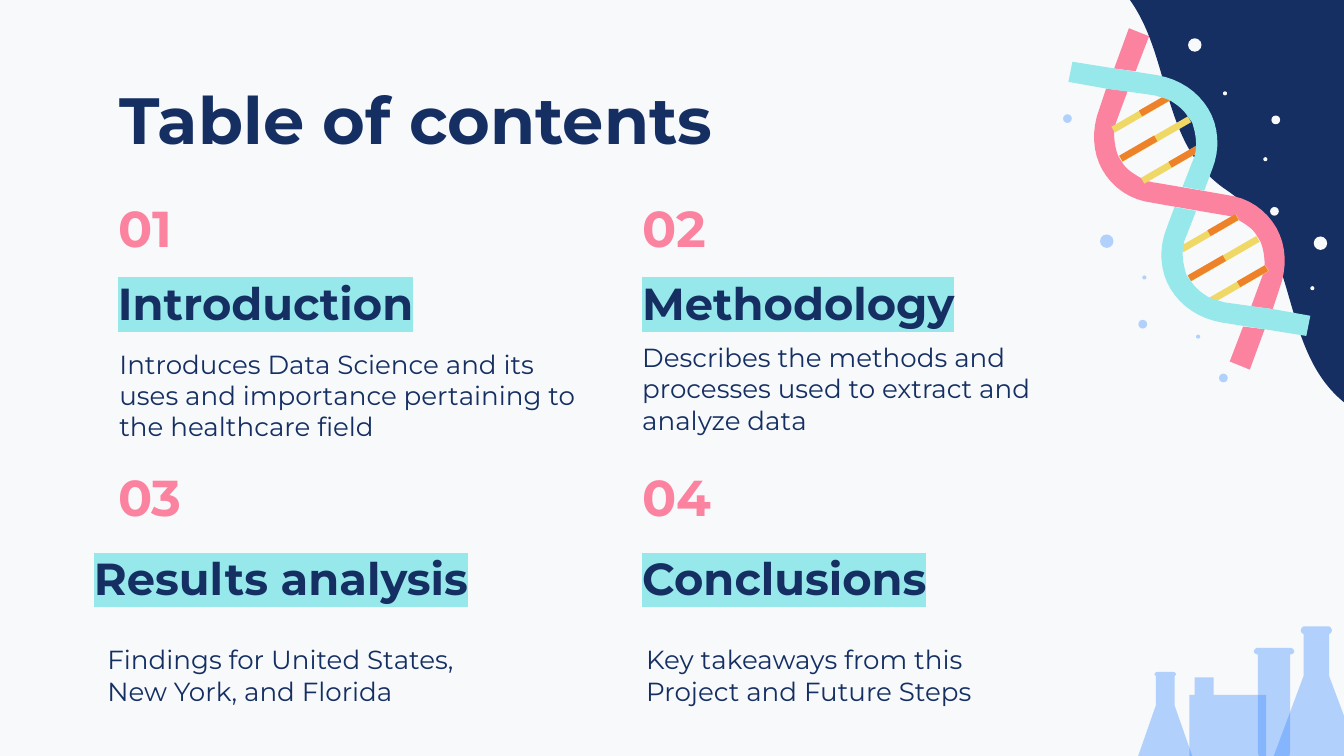
"""Build the table of contents slide with its DNA and glassware decoration."""
from dataclasses import dataclass

from lxml.etree import SubElement
from pptx import Presentation
from pptx.dml.color import RGBColor as Rgb
from pptx.enum.shapes import MSO_SHAPE as Shape
from pptx.enum.text import MSO_ANCHOR as Anchor
from pptx.oxml import parse_xml
from pptx.oxml.ns import nsdecls, qn
from pptx.util import Inches, Pt

COLUMNS = 100
SLIDE_WIDTH = Inches(10)
SLIDE_HEIGHT = SLIDE_WIDTH * 9 // 16
CELL = SLIDE_WIDTH / COLUMNS


@dataclass(frozen=True)
class Theme:
    """Colours, type sizes and font of the slide."""
    paper: str = "F7F9FB"
    navy: str = "152F63"
    pink: str = "FC83A0"
    aqua: str = "96E8EA"
    yellow: str = "EFD865"
    orange: str = "ED822B"
    blue: str = "3B8BFF"
    glass_alpha: int = 37
    font: str = "Montserrat"
    title: int = 35
    number: int = 27
    heading: int = 24
    body: int = 14


THEME = Theme()

NUMBER_SIZE, HEADING_SIZE = (7.5, 6.5), (30, 5.1)
SECTIONS = [
    ("01", (7.8, 13.7), "Introduction", (7.8, 20.4, *HEADING_SIZE),
     "Introduces Data Science and its uses and importance pertaining to the healthcare field",
     (7.9, 24.9, 37.4, 8.8)),
    ("02", (46.8, 13.7), "Methodology", (46.8, 20.4, *HEADING_SIZE),
     "Describes the methods and processes used to extract and analyze data",
     (46.8, 24.4, 36.4, 5.3)),
    ("03", (7.8, 33.7), "Results analysis", (6, 40.9, 33.7, 5.1),
     "Findings for United States, New York, and Florida", (7, 46.9, 30, 5.3)),
    ("04", (46.8, 33.7), "Conclusions", (46.8, 40.9, *HEADING_SIZE),
     "Key takeaways from this Project and Future Steps", (47.1, 46.9, 30, 5.3)),
]

HELIX_CENTRE = (88.5, 14.8)
HELIX_TURN = (5.1, 8.9)
PINK_TIP = [(84, 2.1), (82.9, 5.1), (84.5, 5.3), (85.5, 2.7)]
PINK_HALF = [
    (82.3, 6.6), (81.8, 8.1), (81.2, 9.7, 81.3, 11.3, 82, 12.6),
    (82.8, 14, 84.1, 14.9, 85.8, 15.1), (87.5, 15.4), (91, 16),
    (91.2, 16, 91.4, 16.1, 91.6, 16.1), (91.8, 16.2, 92, 16.3, 92.2, 16.4),
    (92.7, 16.7, 93.2, 17, 93.5, 17.5), (93.8, 18),
    (94, 18.5, 94.1, 19.1, 94.1, 19.7), (94.1, 20, 94, 20.4, 93.8, 20.9), (93.1, 22.8)]
AQUA_HALF = [
    (79.8, 4.6), (79.5, 6.1), (82.3, 6.6), (85.9, 7.1),
    (86.2, 7.2, 86.7, 7.3, 87.1, 7.5), (87.6, 7.8, 88.1, 8.2, 88.4, 8.7), (88.7, 9.1),
    (88.9, 9.7, 89, 10.2, 89, 10.8), (89, 11.2, 88.9, 11.7, 88.7, 12.1), (88, 13.9),
    (89.6, 14.2), (90.2, 12.6), (90.8, 11.1, 90.7, 9.4, 89.9, 8.1),
    (89.1, 6.8, 87.8, 5.9, 86.1, 5.6), (82.9, 5.1)]
RUNGS = [
    (83, 10.1, 5.9, THEME.yellow), (82.5, 8.2, 4.8, THEME.yellow),
    (84.7, 12, 4.8, THEME.yellow), (83.2, 10.8, 3, THEME.orange),
    (84.7, 7.6, 2.4, THEME.orange), (86.9, 11.4, 2.4, THEME.orange)]
RUNG_HEIGHT, RUNG_ANGLE = 0.5, 330

SMALL, MEDIUM, LARGE = 0.3, 0.65, 1
PALE_DOTS = [
    (94.6, 8.6, MEDIUM), (94.5, 15.4, MEDIUM), (96.1, 26.5, MEDIUM),
    (97.5, 21.3, SMALL), (91, 6.8, SMALL), (94, 11.7, SMALL),
    (97.75, 17.6, LARGE), (88.4, 2.85, LARGE)]
GLASS_DOTS = [
    (84.7, 23.8, MEDIUM), (79.1, 8.5, MEDIUM), (90.7, 27.8, MEDIUM),
    (85, 20.5, SMALL), (89, 24.9, SMALL), (81.85, 17.45, LARGE)]

BOTTLE = [(88.9, 50.4), (88.9, 51.7), (88.5, 51.7), (88.5, 57.1),
          (94.2, 57.1), (94.2, 51.7), (90.3, 51.7), (90.3, 50.4)]
HALF_VESSELS = [
    (86.7, [(86.1, 50), (86, 50, 85.9, 50.1, 85.9, 50.2),
            (85.9, 50.2, 86, 50.3, 86, 50.3), (86, 52.5), (84.6, 56.5),
            (84.5, 56.8, 84.7, 57.1, 85, 57.1)]),
    (97.95, [(97.1, 46.6), (96.9, 46.6, 96.8, 46.8, 96.8, 46.9),
             (96.8, 47.1, 96.9, 47.1, 97, 47.2), (97, 50.3), (94.8, 56.2),
             (94.7, 56.6, 95, 57.1, 95.5, 57.1)]),
    (94.8, [(93.6, 48.2), (93.5, 48.2, 93.3, 48.3, 93.3, 48.5),
            (93.3, 48.6, 93.5, 48.7, 93.6, 48.7), (93.6, 55.9),
            (93.6, 56.5, 94.2, 57.1, 94.8, 57.1)]),
]


def cells(*values):
    """Turn grid units into slide lengths."""
    return [round(value * CELL) for value in values]


def paint(shape, color, alpha=None):
    """Give a shape a flat fill without line or shadow."""
    shape.shadow.inherit = False
    shape.line.fill.background()
    shape.fill.solid()
    shape.fill.fore_color.rgb = Rgb.from_string(color)
    if alpha:
        tint = shape.fill._xPr.find(qn("a:solidFill"))[0]
        SubElement(tint, qn("a:alpha"), val=str(alpha * 1000))


def flatten(segments, steps=8):
    """Turn points and cubic curves into a list of points."""
    points = [segments[0]]
    for segment in segments[1:]:
        if len(segment) == 2:
            points.append(segment)
            continue
        knots = [points[-1], segment[:2], segment[2:4], segment[4:]]
        for step in range(1, steps + 1):
            t = step / steps
            weights = ((1 - t) ** 3, 3 * t * (1 - t) ** 2, 3 * t * t * (1 - t), t ** 3)
            points.append(tuple(sum(w * knot[axis] for w, knot in zip(weights, knots))
                                for axis in (0, 1)))
    return points


def half_turn(points):
    """Rotate points by half a turn about the helix centre."""
    return [(2 * HELIX_CENTRE[0] - x, 2 * HELIX_CENTRE[1] - y) for x, y in points]


def add_outline(page, points, color, alpha=None):
    """Draw a closed filled outline."""
    corners = [cells(*point) for point in points]
    builder = page.shapes.build_freeform(*corners[0])
    builder.add_line_segments(corners[1:], close=True)
    paint(builder.convert_to_shape(), color, alpha)


def add_preset(page, kind, area, color, angle=0, alpha=None):
    """Draw a filled preset shape."""
    shape = page.shapes.add_shape(kind, *cells(*area))
    shape.rotation = angle
    paint(shape, color, alpha)
    return shape


def add_text(page, text, area, size, color=THEME.navy, bold=False,
             anchor=Anchor.TOP, highlight=None):
    """Add a wrapped text box with one run."""
    frame = page.shapes.add_textbox(*cells(*area)).text_frame
    frame.word_wrap = True
    frame.vertical_anchor = anchor
    frame.margin_left = frame.margin_right = frame.margin_top = frame.margin_bottom = Inches(0.1)
    span = frame.paragraphs[0].add_run()
    span.text = text
    font = span.font
    font.name, font.size, font.bold = THEME.font, Pt(size), bold
    font.color.rgb = Rgb.from_string(color)
    if highlight:
        font._rPr.find(qn("a:solidFill")).addnext(parse_xml(
            f'<a:highlight {nsdecls("a")}><a:srgbClr val="{highlight}"/></a:highlight>'))


def add_glassware(page):
    """Draw the translucent laboratory vessels."""
    add_outline(page, BOTTLE, THEME.blue, THEME.glass_alpha)
    for axis, segments in HALF_VESSELS:
        left = flatten(segments)
        right = [(2 * axis - x, y) for x, y in reversed(left)]
        add_outline(page, left + right, THEME.blue, THEME.glass_alpha)


def add_helix(page):
    """Draw the two strands and their rungs."""
    pink, aqua = flatten(PINK_HALF), flatten(AQUA_HALF)
    for points in (half_turn(PINK_TIP), pink + half_turn(pink), PINK_TIP):
        add_outline(page, points, THEME.pink)
    for x, y, width, color in RUNGS:
        for turn in (0, 1):
            area = (x + turn * HELIX_TURN[0], y + turn * HELIX_TURN[1], width, RUNG_HEIGHT)
            add_preset(page, Shape.RECTANGLE, area, color, RUNG_ANGLE)
    for points in (aqua, half_turn(aqua)):
        add_outline(page, points, THEME.aqua)


def add_dots(page, dots, color, alpha=None):
    """Scatter round dots."""
    for x, y, size in dots:
        add_preset(page, Shape.OVAL, (x, y, size, size), color, alpha=alpha)


def add_section(page, number, corner, heading, heading_area, body, body_area):
    """Add one numbered entry of the contents."""
    add_text(page, number, (*corner, *NUMBER_SIZE), THEME.number, THEME.pink, True, Anchor.MIDDLE)
    add_text(page, heading, heading_area, THEME.heading, bold=True,
             anchor=Anchor.BOTTOM, highlight=THEME.aqua)
    add_text(page, body, body_area, THEME.body)


def main():
    """Build and save the deck."""
    deck = Presentation()
    deck.slide_width, deck.slide_height = SLIDE_WIDTH, SLIDE_HEIGHT
    page = deck.slides.add_slide(deck.slide_layouts[6])
    page.background.fill.solid()
    page.background.fill.fore_color.rgb = Rgb.from_string(THEME.paper)
    wave = add_preset(page, Shape.DOUBLE_WAVE, (81.7, -2.8, 37.6, 23.2), THEME.navy, 60)
    wave.adjustments[0] = 0.04
    add_glassware(page)
    add_text(page, "Table of contents", (7.9, 4.9, 84.3, 6.3), THEME.title, bold=True)
    for section in SECTIONS:
        add_section(page, *section)
    add_helix(page)
    add_dots(page, PALE_DOTS, THEME.paper)
    add_dots(page, GLASS_DOTS, THEME.blue, THEME.glass_alpha)
    deck.save("out.pptx")


if __name__ == "__main__":
    main()
